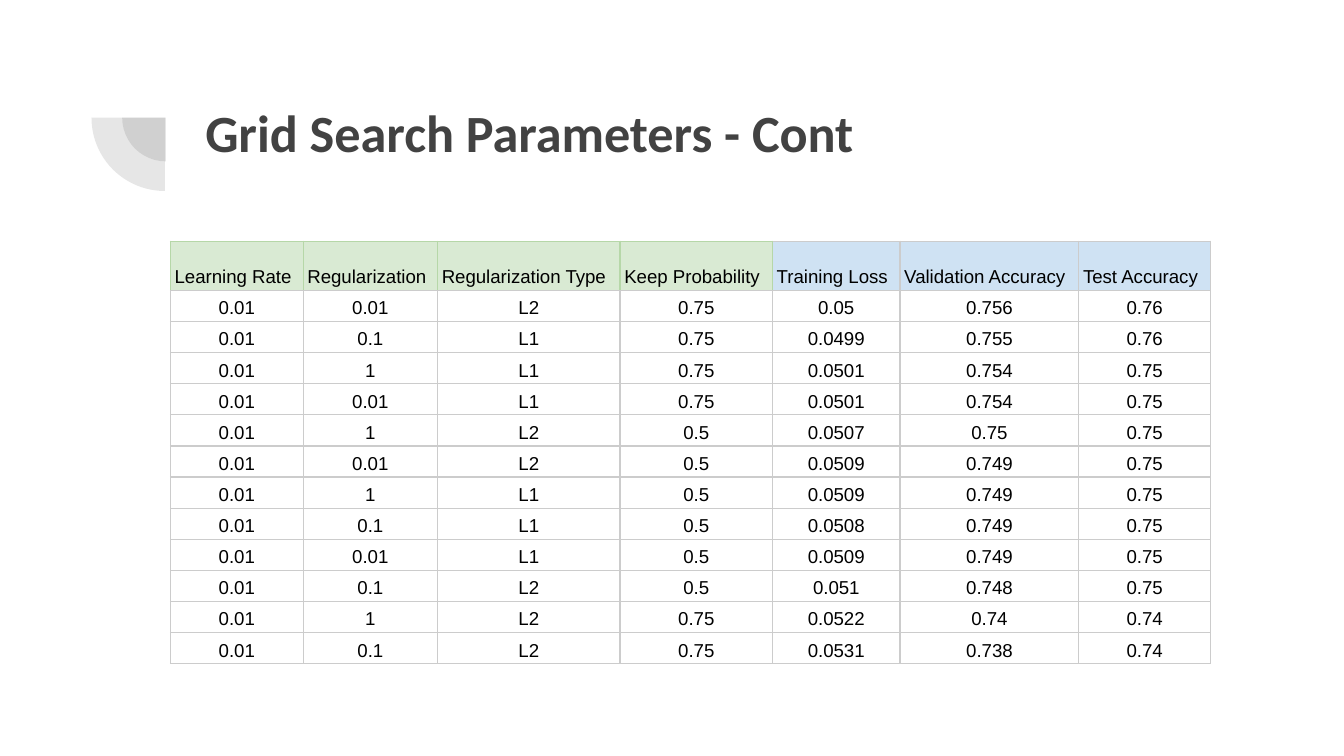
from dataclasses import dataclass

import pptx
import pptx.dml.color
import pptx.enum.shapes
import pptx.enum.text
import pptx.oxml
import pptx.oxml.ns
import pptx.util
from pptx.util import Cm

Align = pptx.enum.text.PP_ALIGN
Anchor = pptx.enum.text.MSO_ANCHOR


@dataclass(frozen=True)
class Theme:
    ink: str = "424242"
    black: str = "000000"
    input_fill: str = "D9EAD3"
    input_line: str = "B6D7A8"
    result_fill: str = "CFE2F3"
    grid_line: str = "CCCCCC"
    title_font: str = "Calibri"
    table_font: str = "Arial"
    title_size: float = 28
    table_size: float = 10
    line_width: float = 0.75
    pie_opacity: int = 13


@dataclass(frozen=True)
class Column:
    heading: str
    width: float
    is_input: bool


@dataclass(frozen=True)
class QuarterPie:
    left: float
    top: float
    size: float


THEME = Theme()

COLUMNS = [
    Column("Learning Rate", 2.51, True),
    Column("Regularization", 2.54, True),
    Column("Regularization Type", 3.45, True),
    Column("Keep Probability", 2.88, True),
    Column("Training Loss", 2.41, False),
    Column("Validation Accuracy", 3.38, False),
    Column("Test Accuracy", 2.49, False),
]

RESULTS = [
    ("0.01", "0.01", "L2", "0.75", "0.05", "0.756", "0.76"),
    ("0.01", "0.1", "L1", "0.75", "0.0499", "0.755", "0.76"),
    ("0.01", "1", "L1", "0.75", "0.0501", "0.754", "0.75"),
    ("0.01", "0.01", "L1", "0.75", "0.0501", "0.754", "0.75"),
    ("0.01", "1", "L2", "0.5", "0.0507", "0.75", "0.75"),
    ("0.01", "0.01", "L2", "0.5", "0.0509", "0.749", "0.75"),
    ("0.01", "1", "L1", "0.5", "0.0509", "0.749", "0.75"),
    ("0.01", "0.1", "L1", "0.5", "0.0508", "0.749", "0.75"),
    ("0.01", "0.01", "L1", "0.5", "0.0509", "0.749", "0.75"),
    ("0.01", "0.1", "L2", "0.5", "0.051", "0.748", "0.75"),
    ("0.01", "1", "L2", "0.75", "0.0522", "0.74", "0.74"),
    ("0.01", "0.1", "L2", "0.75", "0.0531", "0.738", "0.74"),
]

PIES = [QuarterPie(2.31, 1.4, 1.65), QuarterPie(1.73, 0.84, 2.77)]
HEADER_HEIGHT, ROW_HEIGHT = 0.93, 0.56


def rgb(color: str) -> pptx.dml.color.RGBColor:
    return pptx.dml.color.RGBColor.from_string(color)


def write_text(frame, text: str, *, font: str, size: float, color: str,
               bold: bool = False, align=Align.LEFT, spacing: float = 1.0) -> None:
    para = frame.paragraphs[0]
    para.alignment = align
    para.line_spacing = spacing
    span = para.add_run()
    span.text = text
    span.font.name = font
    span.font.size = pptx.util.Pt(size)
    span.font.bold = bold
    span.font.color.rgb = rgb(color)


def draw_pie(page, pie: QuarterPie) -> None:
    shape = page.shapes.add_shape(
        pptx.enum.shapes.MSO_SHAPE.PIE,
        Cm(pie.left), Cm(pie.top), Cm(pie.size), Cm(pie.size))
    # Angles are in units of 0.6 per degree: 180 to 270 degrees
    shape.adjustments[0], shape.adjustments[1] = 108, 162
    shape.rotation = 270
    shape.shadow.inherit = False
    shape.line.fill.background()
    shape.fill.solid()
    shape.fill.fore_color.rgb = rgb(THEME.ink)
    color = shape.fill._xPr.find(".//" + pptx.oxml.ns.qn("a:srgbClr"))
    alpha = color.makeelement(pptx.oxml.ns.qn("a:alpha"),
                              {"val": str(THEME.pie_opacity * 1000)})
    color.append(alpha)


def draw_title(page, text: str) -> None:
    box = page.shapes.add_textbox(Cm(3.63), Cm(1.65), Cm(19.53), Cm(2.77))
    frame = box.text_frame
    frame.word_wrap = True
    frame.margin_left = frame.margin_right = Cm(0.25)
    frame.margin_top = frame.margin_bottom = Cm(0.25)
    write_text(frame, text, font=THEME.title_font, size=THEME.title_size,
               color=THEME.ink, bold=True)


def set_borders(cell, left: str, right: str, top: str, bottom: str) -> None:
    properties = cell._tc.get_or_add_tcPr()
    width = pptx.util.Pt(THEME.line_width)
    sides = {"lnL": left, "lnR": right, "lnT": top, "lnB": bottom}
    for position, (tag, color) in enumerate(sides.items()):
        properties.insert(position, pptx.oxml.parse_xml(
            f'<a:{tag} {pptx.oxml.ns.nsdecls("a")} w="{width}">'
            f'<a:solidFill><a:srgbClr val="{color}"/></a:solidFill></a:{tag}>'))


def fill_cell(cell, text: str, align) -> None:
    cell.vertical_anchor = Anchor.BOTTOM
    cell.margin_left = cell.margin_right = Cm(0.08)
    cell.margin_top = cell.margin_bottom = Cm(0.05)
    write_text(cell.text_frame, text, font=THEME.table_font,
               size=THEME.table_size, color=THEME.black, align=align, spacing=1.15)


def draw_table(page) -> None:
    width = sum(column.width for column in COLUMNS)
    height = HEADER_HEIGHT + ROW_HEIGHT * len(RESULTS)
    table = page.shapes.add_table(len(RESULTS) + 1, len(COLUMNS), Cm(3.22),
                                  Cm(4.56), Cm(width), Cm(height)).table
    table.first_row = table.horz_banding = False
    for row in table.rows:
        row.height = Cm(ROW_HEIGHT)
    table.rows[0].height = Cm(HEADER_HEIGHT)

    # Header: parameters in green, results in blue
    grid, left = THEME.grid_line, THEME.input_line
    for index, column in enumerate(COLUMNS):
        table.columns[index].width = Cm(column.width)
        cell = table.cell(0, index)
        fill_cell(cell, column.heading, Align.LEFT)
        cell.fill.solid()
        cell.fill.fore_color.rgb = rgb(
            THEME.input_fill if column.is_input else THEME.result_fill)
        edge = THEME.input_line if column.is_input else grid
        set_borders(cell, left, edge, edge, grid)
        left = edge

    # Body
    for row_index, values in enumerate(RESULTS, start=1):
        for index, value in enumerate(values):
            cell = table.cell(row_index, index)
            fill_cell(cell, value, Align.CENTER)
            cell.fill.background()
            set_borders(cell, grid, grid, grid, grid)


def main() -> None:
    deck = pptx.Presentation()
    deck.slide_width, deck.slide_height = Cm(25.4), Cm(14.29)
    page = deck.slides.add_slide(deck.slide_layouts[6])
    for pie in PIES:
        draw_pie(page, pie)
    draw_title(page, "Grid Search Parameters - Cont")
    draw_table(page)
    deck.save("out.pptx")


if __name__ == "__main__":
    main()
